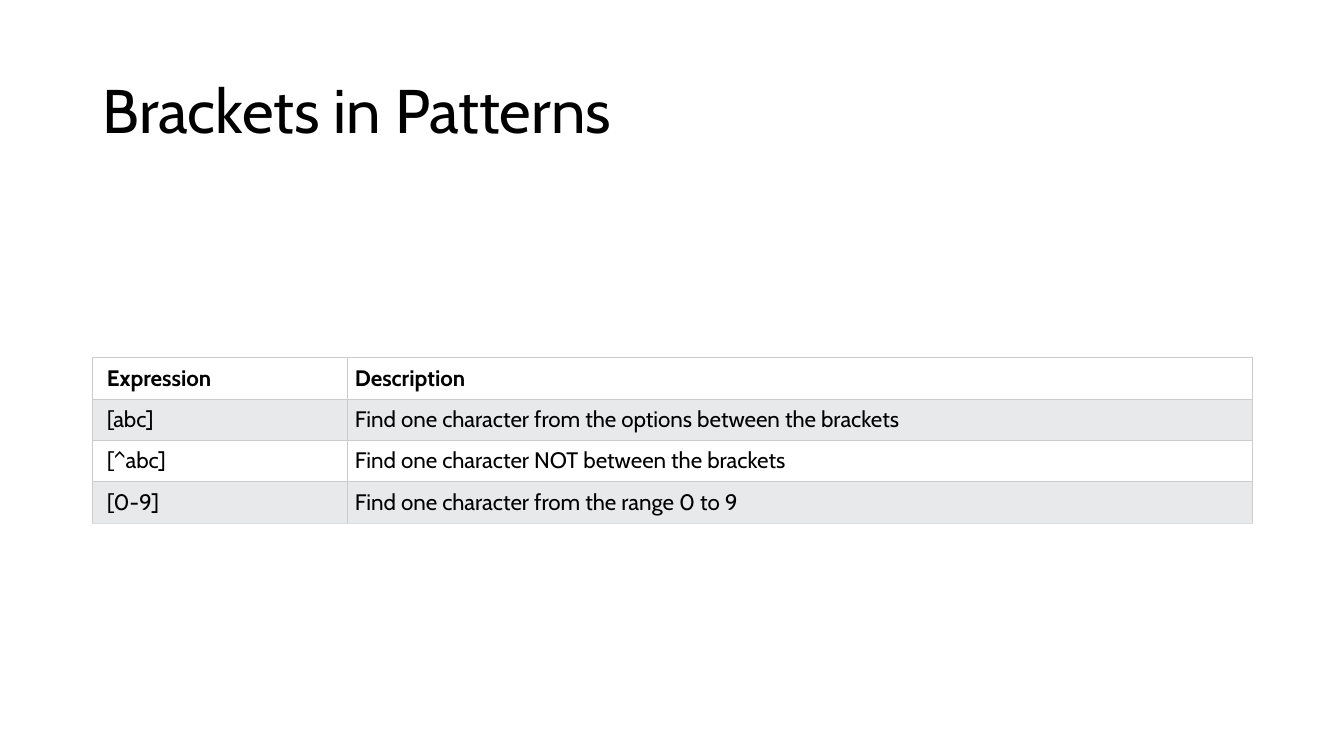
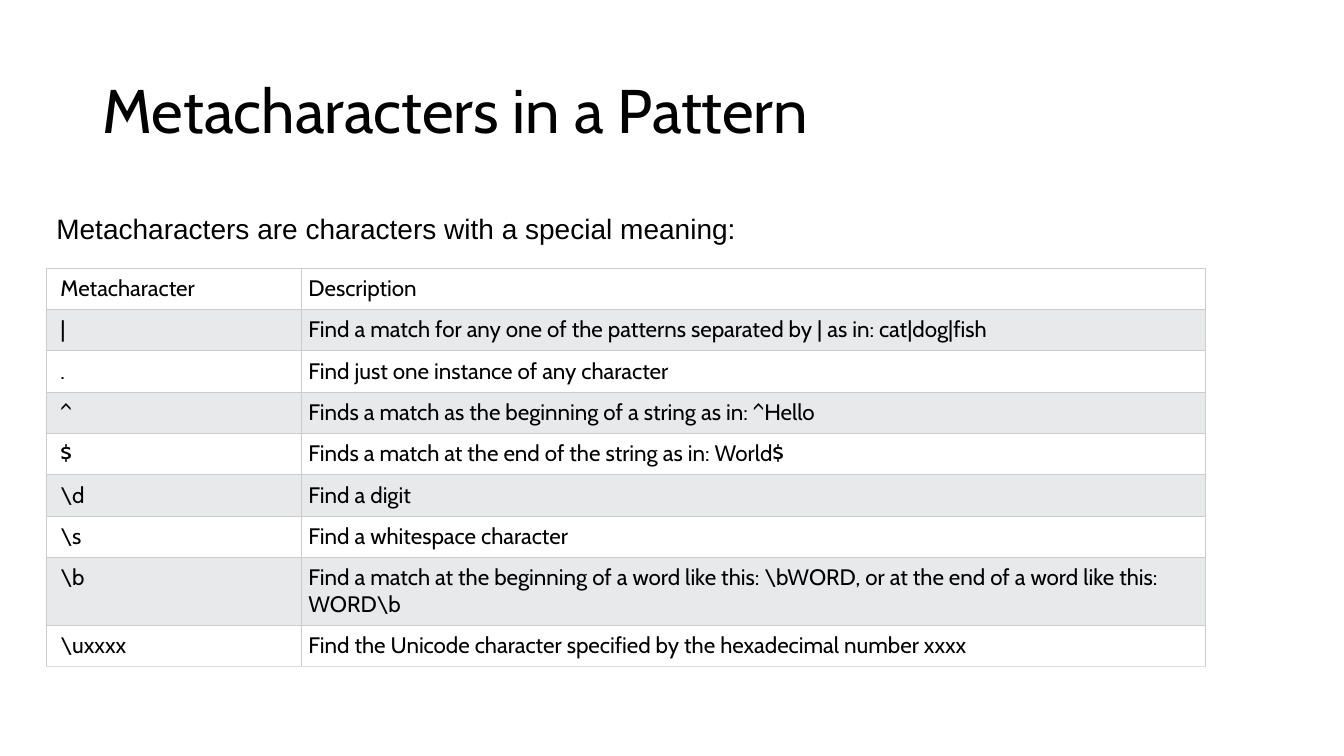
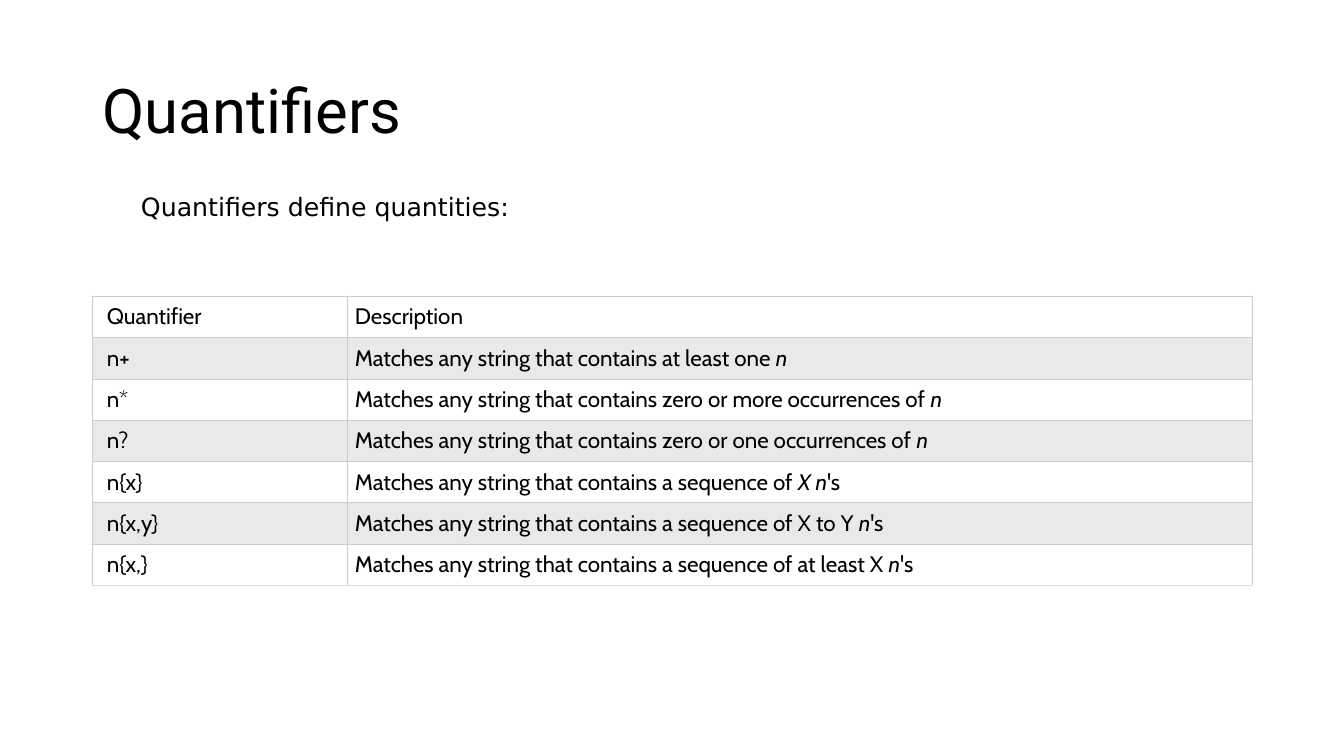
from lxml.etree import SubElement as Sub
from pptx import Presentation
from pptx.dml.color import RGBColor as RGB
from pptx.enum.text import MSO_ANCHOR as Anchor
from pptx.oxml.ns import qn
from pptx.util import Inches, Pt

BLACK = RGB(0x00, 0x00, 0x00)
WHITE = RGB(0xFF, 0xFF, 0xFF)
BAND = RGB(0xE7, 0xE9, 0xEB)
RULE = RGB(0xCC, 0xCC, 0xCC)
BASE = RGB(0xDD, 0xDD, 0xDD)

BRACKETS = [
    ("Expression", "Description"),
    ("[abc]", "Find one character from the options between the brackets"),
    ("[^abc]", "Find one character NOT between the brackets"),
    ("[0-9]", "Find one character from the range 0 to 9"),
]
METAS = [
    ("Metacharacter", "Description"),
    ("|", "Find a match for any one of the patterns separated by | as in: cat|dog|fish"),
    (".", "Find just one instance of any character"),
    ("^", "Finds a match as the beginning of a string as in: ^Hello"),
    ("$", "Finds a match at the end of the string as in: World$"),
    (r"\d", "Find a digit"),
    (r"\s", "Find a whitespace character"),
    (r"\b", r"Find a match at the beginning of a word like this: \bWORD, "
            r"or at the end of a word like this: WORD\b"),
    (r"\uxxxx", "Find the Unicode character specified by the hexadecimal number xxxx"),
]
COUNTS = [
    ("Quantifier", "Description"),
    ("n+", "Matches any string that contains at least one _n_"),
    ("n*", "Matches any string that contains zero or more occurrences of _n_"),
    ("n?", "Matches any string that contains zero or one occurrences of _n_"),
    ("n{x}", "Matches any string that contains a sequence of _X n_'s"),
    ("n{x,y}", "Matches any string that contains a sequence of X to Y _n_'s"),
    ("n{x,}", "Matches any string that contains a sequence of at least X _n_'s"),
]


class Deck:
    """Holds the shared style and the current slide."""

    font = "Cabin"
    cols = (2.53, 8.97)
    row = 0.41
    pad = 0.07

    def __init__(self):
        self.prs = Presentation()
        self.prs.slide_width = Inches(13.33)
        self.prs.slide_height = Inches(7.5)

    def page(self, title, font=font):
        self.slide = self.prs.slides.add_slide(self.prs.slide_layouts[6])
        para = self.text(title, (0.92, 0.4, 11.5, 1.45), 44, font)
        para.line_spacing = 0.9

    def style(self, para, size, font, bold=False):
        para.font.size = Pt(size)
        para.font.name = font
        para.font.bold = bold
        para.font.color.rgb = BLACK

    def text(self, words, box, size, font):
        frame = self.slide.shapes.add_textbox(*map(Inches, box)).text_frame
        frame.word_wrap = True
        frame.vertical_anchor = Anchor.MIDDLE
        para = frame.paragraphs[0]
        para.text = words
        self.style(para, size, font)
        return para

    def edge(self, cell, side, color):
        line = Sub(cell._tc.get_or_add_tcPr(), qn(f"a:ln{side}"), w=str(Pt(0.75)))
        fill = Sub(line, qn("a:solidFill"))
        Sub(fill, qn("a:srgbClr"), val=str(color))

    def cell(self, cell, words, left, fill, base, bold):
        cell.margin_left = Inches(left)
        cell.margin_right = cell.margin_top = cell.margin_bottom = Inches(self.pad)
        for side, color in zip("LRTB", (RULE, RULE, RULE, base)):
            self.edge(cell, side, color)
        cell.fill.solid()
        cell.fill.fore_color.rgb = fill
        para = cell.text_frame.paragraphs[0]
        self.style(para, 16, self.font, bold)
        for i, part in enumerate(words.split("_")):
            if part:
                run = para.add_run()
                run.text = part
                if i % 2:
                    run.font.italic = True

    def table(self, rows, left, top, bold=False):
        box = (left, top, sum(self.cols), self.row * len(rows))
        grid = self.slide.shapes.add_table(
            len(rows), len(self.cols), *map(Inches, box)).table
        grid.first_row = grid.horz_banding = False
        for col, width in zip(grid.columns, self.cols):
            col.width = Inches(width)
        for r, row in enumerate(rows):
            grid.rows[r].height = Inches(self.row)
            fill = BAND if r % 2 else WHITE
            base = BASE if r == len(rows) - 1 else RULE
            for c, words in enumerate(row):
                inset = self.pad if c else 2 * self.pad
                self.cell(grid.cell(r, c), words, inset, fill, base, bold and r == 0)


def main():
    deck = Deck()

    deck.page("Brackets in Patterns")
    deck.table(BRACKETS, 0.92, 3.55, bold=True)

    deck.page("Metacharacters in a Pattern")
    deck.table(METAS, 0.46, 2.66)
    deck.text("Metacharacters are characters with a special meaning:",
              (0.46, 2.04, 6.99, 0.44), 20, "Arial")

    deck.page("Quantifiers", "Roboto")
    deck.text("Quantifiers define quantities:",
              (1.3, 1.85, 6.67, 0.4), 18, "DejaVu Sans")
    deck.table(COUNTS, 0.92, 2.94)

    deck.prs.save("out.pptx")


if __name__ == "__main__":
    main()
